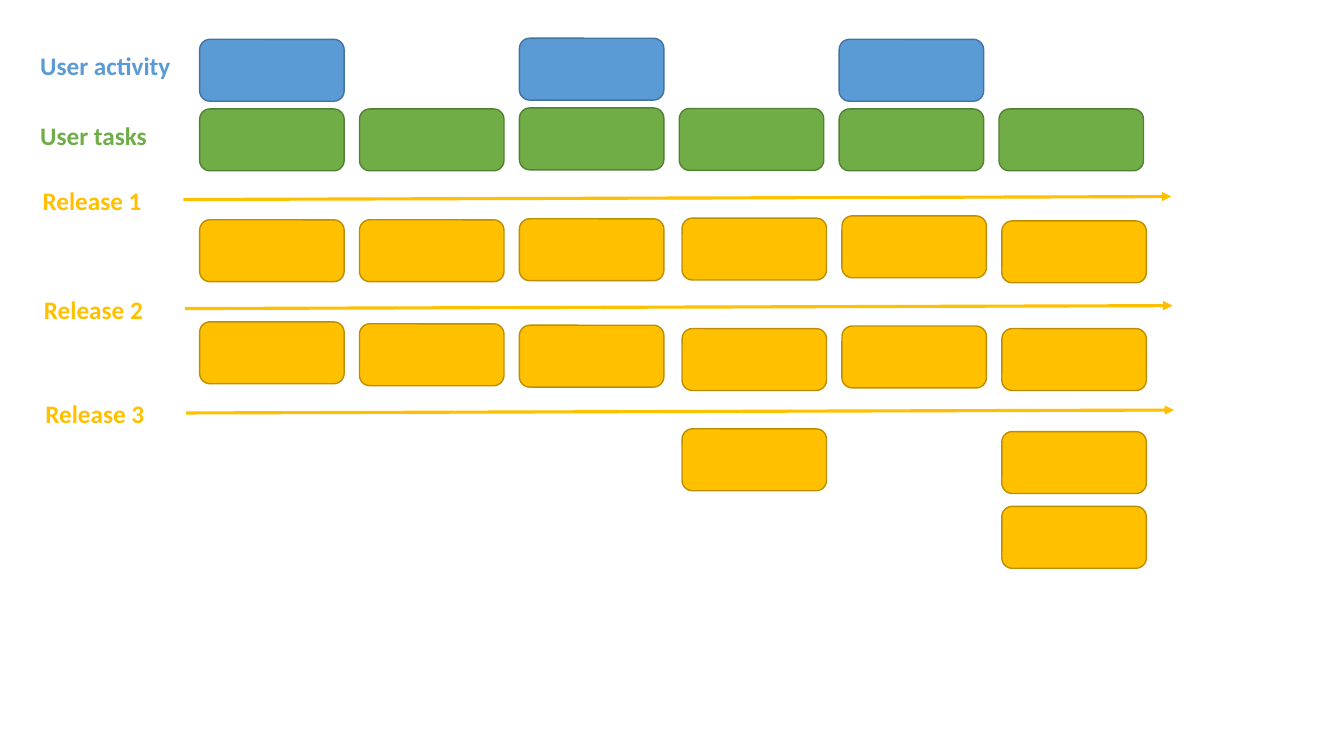
from dataclasses import dataclass

from pptx import Presentation
from pptx.dml.color import RGBColor as RGB
from pptx.enum.shapes import MSO_CONNECTOR as Conn, MSO_SHAPE as Shape
from pptx.enum.text import MSO_AUTO_SIZE as Fit
from pptx.oxml.ns import qn
from pptx.util import Pt
from lxml.etree import SubElement as sub


@dataclass(frozen=True)
class Theme:
    blue: tuple = ("5B9BD5", "43739E")
    green: tuple = ("70AD47", "538035")
    gold: tuple = ("FFC000", "BD8E00")
    font: str = "Calibri"
    size: float = 18
    edge: float = 1
    rule: float = 2.25


THEME = Theme()
LEFT, STEP = 142.6, 114.2
CARD_W, CARD_H = 103.2, 44.2
SHIFT = 2  # release cards sit a little further right from the fourth column
LABEL_H = 29.1
SPAN, RISE = 705.6, 2.1

# Each row: colours, {column: top}
TOP_ROWS = [
    (THEME.blue, {0: 28.1, 2: 27.3, 4: 28.1}),
    (THEME.green, {0: 77.8, 1: 77.8, 2: 77.1, 3: 77.5, 4: 77.8, 5: 77.8}),
]
STORIES = [
    {0: 157, 1: 157, 2: 156.3, 3: 155.8, 4: 154.2, 5: 157.8},
    {0: 229.9, 1: 231.3, 2: 232.3, 3: 234.7, 4: 232.9, 5: 234.7},
    {3: 306.3, 5: 308.3},
    {5: 361.7},
]
LABELS = [
    ("User activity", 21.6, 32.6, 108.7, THEME.blue),
    ("User tasks", 21.6, 82.7, 91.4, THEME.green),
    ("Release 1", 23.3, 129.1, 85.7, THEME.gold),
    ("Release 2", 24.3, 206.9, 85.7, THEME.gold),
    ("Release 3", 25.3, 281.1, 85.7, THEME.gold),
]
ARROWS = [(131, 142.5), (132, 220.4), (133, 295)]


def put_text(slide, text, x, y, width, *, color, bold=True):
    box = slide.shapes.add_textbox(Pt(x), Pt(y), Pt(width), Pt(LABEL_H))
    frame = box.text_frame
    frame.word_wrap = False
    frame.auto_size = Fit.SHAPE_TO_FIT_TEXT
    run = frame.paragraphs[0].add_run()
    run.text = text
    run.font.name, run.font.size, run.font.bold = THEME.font, Pt(THEME.size), bold
    run.font.color.rgb = RGB.from_string(color)


def put_card(slide, x, y, colors):
    card = slide.shapes.add_shape(
        Shape.ROUNDED_RECTANGLE, Pt(x), Pt(y), Pt(CARD_W), Pt(CARD_H))
    card.shadow.inherit = False
    fill, edge = colors
    card.fill.solid()
    card.fill.fore_color.rgb = RGB.from_string(fill)
    card.line.color.rgb = RGB.from_string(edge)
    card.line.width = Pt(THEME.edge)


def put_row(slide, tops, colors, shift=0):
    for col, top in tops.items():
        nudge = shift if col > 2 else 0
        put_card(slide, LEFT + col * STEP + nudge, top, colors)


def put_arrow(slide, x, y):
    arrow = slide.shapes.add_connector(
        Conn.STRAIGHT, Pt(x), Pt(y), Pt(x + SPAN), Pt(y - RISE))
    arrow.line.color.rgb = RGB.from_string(THEME.gold[0])
    arrow.line.width = Pt(THEME.rule)
    sub(arrow.line._get_or_add_ln(), qn("a:tailEnd"), type="triangle")
    sub(arrow._element.spPr, qn("a:effectLst"))


def main():
    deck = Presentation()
    deck.slide_width, deck.slide_height = Pt(960), Pt(540)
    slide = deck.slides.add_slide(deck.slide_layouts[6])
    for colors, tops in TOP_ROWS:
        put_row(slide, tops, colors)
    for tops in STORIES:
        put_row(slide, tops, THEME.gold, SHIFT)
    for text, x, y, width, colors in LABELS:
        put_text(slide, text, x, y, width, color=colors[0])
    for x, y in ARROWS:
        put_arrow(slide, x, y)
    deck.save("out.pptx")


if __name__ == "__main__":
    main()
